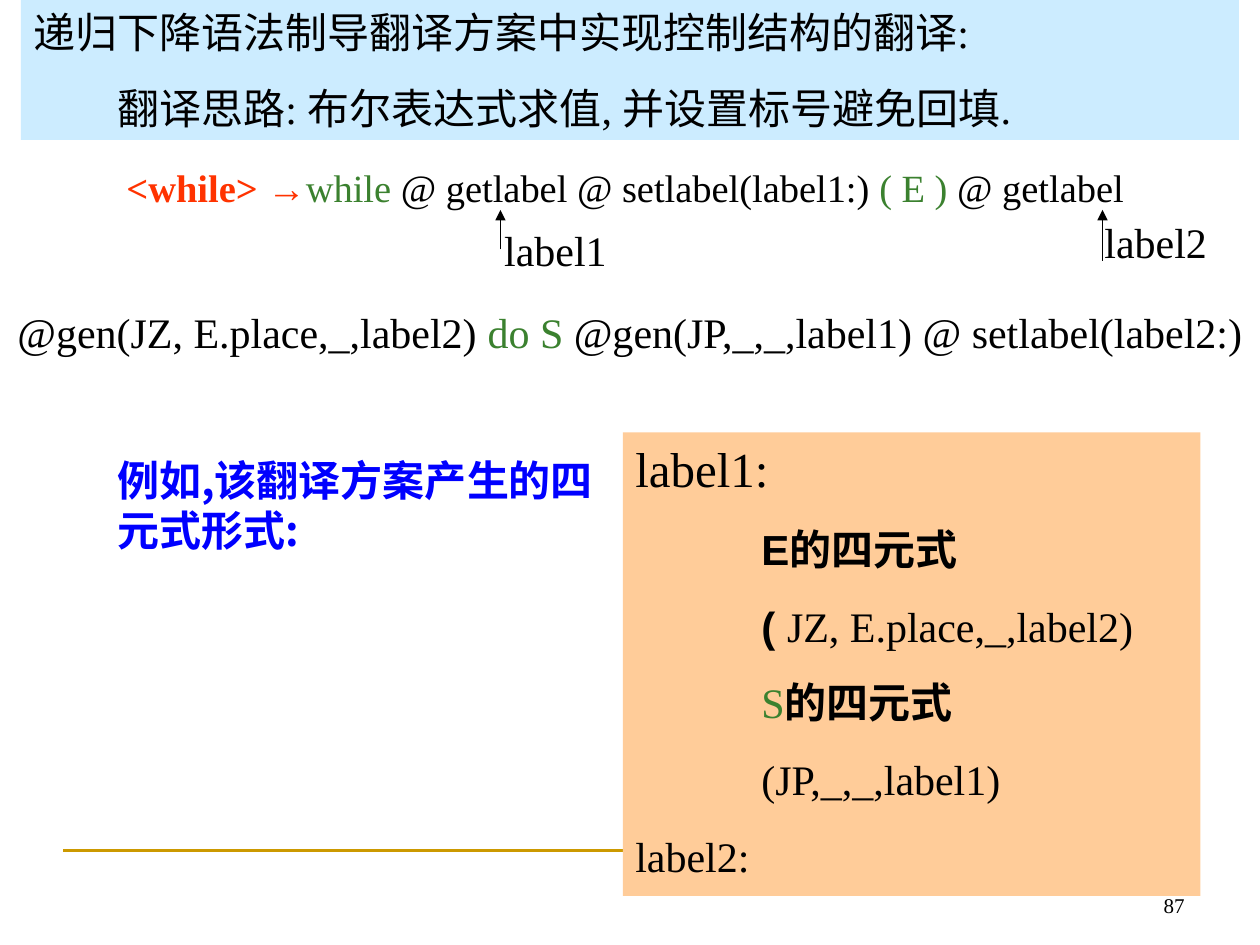
"""Build a slide on translating while loops with labels."""
import pptx
import pptx.util
import pptx.dml.color
import pptx.enum.shapes
import pptx.enum.text
import lxml.etree

Pt = pptx.util.Pt
ALIGN = pptx.enum.text.PP_ALIGN
ANCHOR = pptx.enum.text.MSO_ANCHOR
FIT = pptx.enum.text.MSO_AUTO_SIZE
SHAPE = pptx.enum.shapes.MSO_SHAPE
LINK = pptx.enum.shapes.MSO_CONNECTOR

COLORS = {"black": "000000", "red": "FF3300", "green": "3B812F", "blue": "0000FF",
          "gold": "CC9900", "sky": "CCECFF", "peach": "FFCC99"}

BASE = {"size": 24, "name": "Times New Roman", "bold": False, "color": "black"}
GREEN = {"color": "green"}
HEAVY = {"name": "Arial", "bold": True}
SMALL = {"size": 22}
LEAF = {**SMALL, **GREEN}

RULE = ((36, 486), (684, 486), "gold", 1.5, False)
ARROWS = [((286, 142.5), (286, 120), "black", 0.75, True),
          ((630, 149), (630, 120), "black", 0.75, True)]

BOXES = [
    {"at": (516, 492, 168, 36), "align": ALIGN.RIGHT, "anchor": ANCHOR.BOTTOM,
     "paras": [(0, 0, [("87", {"size": 12})])]},
    {"at": (12, 0, 696, 80), "fill": "sky", "paras": [
        (0, 0, [("递归下降语法制导翻译方案中实现控制结构的翻译:", {})]),
        (15, 48, [("翻译思路: 布尔表达式求值, 并设置标号避免回填.", {})])]},
    {"at": (0, 90, 720, 120), "align": ALIGN.CENTER, "paras": [
        (0, 0, [("<while> ", {**SMALL, "color": "red", "bold": True}),
                ("→", {**SMALL, "color": "red", "name": "Arial"}),
                ("while ", LEAF),
                ("@ getlabel @ setlabel(label1:) ", SMALL),
                ("( E )", LEAF),
                (" @ getlabel ", SMALL)]),
        (55.2, 0, [("@gen(JZ, E.place,_,label2) ", {}),
                   ("do S", GREEN),
                   (" @gen(JP,_,_,label1) @ setlabel(label2:)", {})])]},
    {"at": (281, 125, 76, 36), "paras": [(0, 0, [("label1", {})])]},
    {"at": (624, 120, 84, 36), "paras": [(0, 0, [("label2", {})])]},
    {"at": (356, 247, 330, 265), "fill": "peach", "paras": [
        (0, 0, [("label1:", {"size": 28})]),
        (15, 72, [("E的四元式", HEAVY)]),
        (15, 72, [("( ", HEAVY), ("JZ, E.place,_,label2)", {})]),
        (15, 72, [("S", GREEN), ("的四元式", HEAVY)]),
        (15, 72, [("(JP,_,_,label1)", {})]),
        (15, 0, [("label2:", {})])]},
    {"at": (60, 256, 288, 65), "paras": [
        (0, 0, [("例如,该翻译方案产生的四元式形式:",
                 {"name": "Noto Sans CJK SC", "bold": True, "color": "blue"})])]},
]


def tint(name):
    return pptx.dml.color.RGBColor.from_string(COLORS[name])


def add_line(slide, start, end, color, width, arrow):
    line = slide.shapes.add_connector(LINK.STRAIGHT, *map(Pt, start + end))
    line.line.color.rgb = tint(color)
    line.line.width = Pt(width)
    space = "{http://schemas.openxmlformats.org/drawingml/2006/main}"
    if arrow:
        lxml.etree.SubElement(line.line._get_or_add_ln(), space + "tailEnd", type="triangle")
    lxml.etree.SubElement(line._element.spPr, space + "effectLst")


def add_run(para, text, style):
    run = para.add_run()
    run.text = text
    for key, value in {**BASE, **style}.items():
        if key == "color":
            run.font.color.rgb = tint(value)
        else:
            setattr(run.font, key, Pt(value) if key == "size" else value)


def add_box(slide, box):
    place = map(Pt, box["at"])
    if "fill" in box:
        shape = slide.shapes.add_shape(SHAPE.RECTANGLE, *place)
        shape.shadow.inherit = False
        shape.fill.solid()
        shape.fill.fore_color.rgb = tint(box["fill"])
        shape.line.fill.background()
    else:
        shape = slide.shapes.add_textbox(*place)
    frame = shape.text_frame
    form = {"word_wrap": True, "auto_size": FIT.NONE,
            "vertical_anchor": box.get("anchor", ANCHOR.TOP)}
    for key, value in form.items():
        setattr(frame, key, value)
    for index, (gap, indent, runs) in enumerate(box["paras"]):
        para = frame.add_paragraph() if index else frame.paragraphs[0]
        para.alignment = box.get("align", ALIGN.LEFT)
        para.space_before = Pt(gap)
        if indent:
            para._p.get_or_add_pPr().set("marL", str(Pt(indent)))
        for text, style in runs:
            add_run(para, text, style)


def main():
    deck = pptx.Presentation()
    deck.slide_width, deck.slide_height = Pt(720), Pt(540)
    slide = deck.slides.add_slide(deck.slide_layouts[6])
    add_line(slide, *RULE)
    for box in BOXES:
        add_box(slide, box)
    for arrow in ARROWS:
        add_line(slide, *arrow)
    deck.save("out.pptx")


if __name__ == "__main__":
    main()
